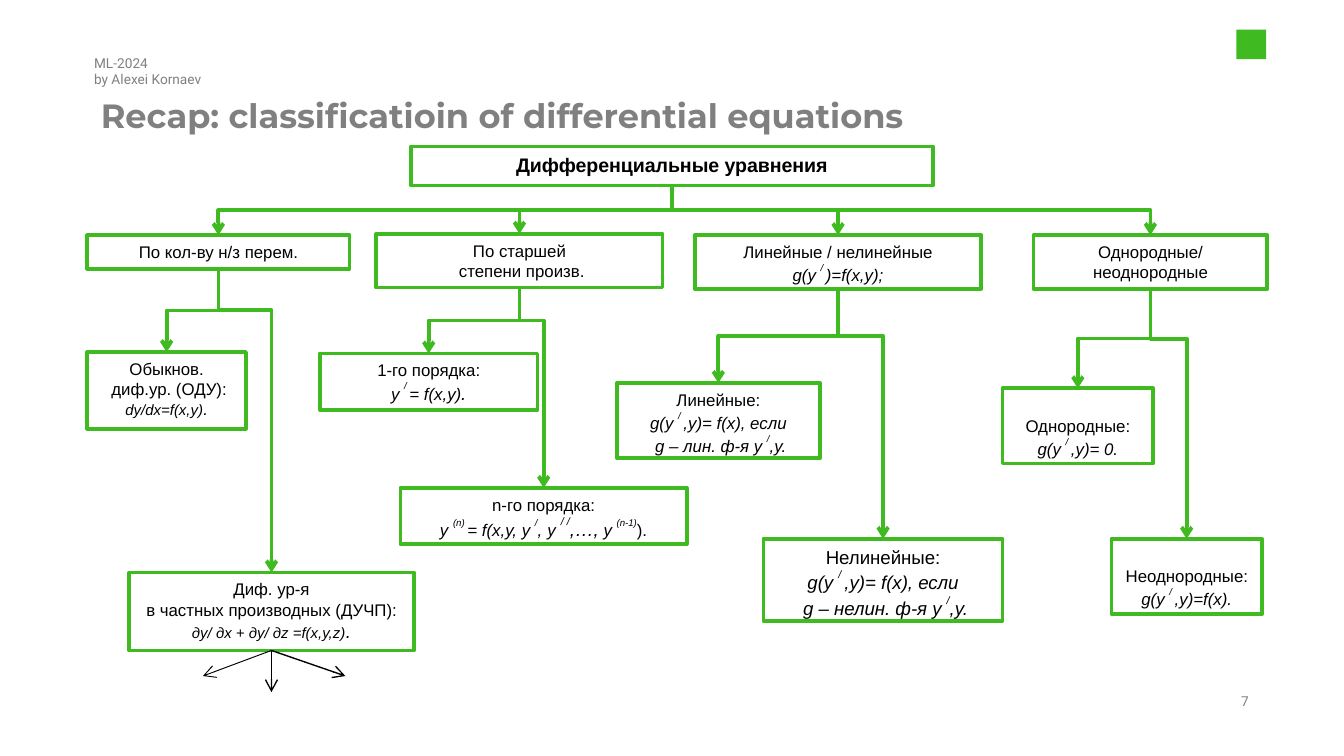
from dataclasses import dataclass
from typing import NamedTuple, Optional

from lxml.etree import SubElement
from pptx import Presentation
from pptx.dml.color import RGBColor
from pptx.enum.shapes import MSO_CONNECTOR, MSO_SHAPE
from pptx.enum.text import MSO_ANCHOR, PP_ALIGN
from pptx.oxml.ns import qn
from pptx.util import Inches, Pt

GREEN, GRAY, BLACK = "40BA21", "808080", "000000"
COLS, ROWS = 100, 56.25

prs = Presentation()
prs.slide_width, prs.slide_height = Inches(10), Inches(5.625)
COL, ROW = prs.slide_width / COLS, prs.slide_height / ROWS


class Run(NamedTuple):
    text: str
    size: Optional[float] = None
    raised: bool = False
    italic: Optional[bool] = None


class Line(NamedTuple):
    runs: tuple
    size: float = 9
    italic: bool = False
    bold: bool = False


@dataclass
class Node:
    x: float
    y: float
    w: float
    h: float
    lines: list
    top: float = 0.5

    @property
    def centre(self) -> float:
        return self.x + self.w / 2

    @property
    def bottom(self) -> float:
        return self.y + self.h


class Branch(NamedTuple):
    parent: str
    children: tuple


def rgb(color: str) -> RGBColor:
    return RGBColor.from_string(color)


def plain(text: str, size: float = 9, bold: bool = False) -> Line:
    return Line((Run(text),), size, bold=bold)


def prime(before: str, after: str, size: float = 9, mark: str = "/ ", *rest: Run) -> Line:
    return Line((Run(before), Run(mark, raised=True), Run(after), *rest), size, True)


def write(p, line: Line, font: str, color: str, align: PP_ALIGN) -> None:
    p.alignment = align
    f = p.font
    f.name, f.size, f.bold, f.italic = font, Pt(line.size), line.bold, line.italic
    f.color.rgb = rgb(color)
    for run in line.runs:
        for i, part in enumerate(run.text.split("\n")):
            if i:
                p.add_line_break()
            r = p.add_run()
            r.text = part
            if run.size:
                r.font.size = Pt(run.size)
            if run.italic is not None:
                r.font.italic = run.italic
            if run.raised:
                r.font._element.set("baseline", "60000")


def box(x: float, y: float, w: float, h: float) -> tuple:
    return tuple(round(v) for v in (x * COL, y * ROW, w * COL, h * ROW))


def draw_node(s, node: Node) -> None:
    sp = s.shapes.add_shape(MSO_SHAPE.RECTANGLE, *box(node.x, node.y, node.w, node.h))
    sp.shadow.inherit = False
    sp.fill.background()
    sp.line.color.rgb = rgb(GREEN)
    sp.line.width = Pt(2)
    tf = sp.text_frame
    tf.word_wrap = True
    tf.vertical_anchor = MSO_ANCHOR.TOP
    tf.margin_top = round(node.top * ROW)
    for i, line in enumerate(node.lines):
        p = tf.add_paragraph() if i else tf.paragraphs[0]
        write(p, line, "Arial", BLACK, PP_ALIGN.CENTER)


def draw_arrow(s, kind, x1: float, y1: float, x2: float, y2: float, color: str, width: float):
    ends = (round(v) for v in (x1 * COL, y1 * ROW, x2 * COL, y2 * ROW))
    cn = s.shapes.add_connector(kind, *ends)
    cn.line.color.rgb = rgb(color)
    cn.line.width = Pt(width)
    SubElement(cn.line._get_or_add_ln(), qn("a:tailEnd"), type="arrow")
    SubElement(cn._element.spPr, qn("a:effectLst"))
    return cn


def draw_elbow(s, parent: Node, child: Node, rail: float) -> None:
    dx, dy = child.centre - parent.centre, child.y - parent.bottom
    mx, my = parent.centre + dx / 2, parent.bottom + dy / 2
    half_w, half_h = dy / 2, abs(dx) / 2
    cn = draw_arrow(s, MSO_CONNECTOR.ELBOW, mx - half_w, my - half_h,
                    mx + half_w, my + half_h, GREEN, 2)
    xfrm = cn._element.spPr.find(qn("a:xfrm"))
    xfrm.set("rot", str((90 if dx < 0 else 270) * 60000))
    if dx > 0:
        xfrm.set("flipH", "1")
    guides = cn._element.spPr.find(qn("a:prstGeom")).find(qn("a:avLst"))
    share = round((rail - parent.bottom) / dy * 100000)
    SubElement(guides, qn("a:gd"), name="adj1", fmla=f"val {share}")


def draw_label(s, area: tuple, line: Line, align: PP_ALIGN, inset: float) -> None:
    tf = s.shapes.add_textbox(*box(*area)).text_frame
    tf.word_wrap = True
    tf.vertical_anchor = MSO_ANCHOR.MIDDLE
    tf.margin_left = tf.margin_right = round(inset * COL)
    tf.margin_top = tf.margin_bottom = round(inset * ROW / 2)
    write(tf.paragraphs[0], line, "Roboto", GRAY, align)


NODES = {
    "root": Node(30.6, 10.9, 38.8, 2.9, [plain("Дифференциальные уравнения", 10.5, True)]),
    "variables": Node(6.5, 17.5, 19.5, 2.5, [plain("По кол-ву н/з перем.")]),
    "order": Node(28, 17.4, 21.3, 4, [plain("По старшей\n степени произв.")]),
    "linearity": Node(51.7, 17.5, 21.3, 4, [
        plain("Линейные / нелинейные"), prime("g(y ", ")=f(x,y);")]),
    "homogeneity": Node(76.9, 17.5, 17.4, 4, [plain("Однородные/ неоднородные")]),
    "ordinary": Node(6.5, 26.2, 11.8, 5.7, [
        plain("Обыкнов."), plain(" диф.ур. (ОДУ):"),
        Line((Run("dy/dx=f(x,y)"), Run(".", 9)), 8, True)]),
    "partial": Node(9.6, 42.6, 21.2, 5.8, [
        plain("Диф. ур-я\nв частных производных (ДУЧП):"),
        Line((Run("дy/ дx + дy/ дz =f(x,y,z)"), Run(".", 10)), 8, True)]),
    "first order": Node(23.8, 26.3, 16.2, 4.2, [
        plain("1-го порядка:"), prime("y ", "= f(x,y)", 9, "/ ", Run(".", 10))]),
    "nth order": Node(29.8, 36.3, 21.3, 4.2, [
        plain("n-го порядка:"),
        prime("y ", "= f(x,y, y ", 9, "(n) ", Run("/", raised=True), Run(","), Run(" ", 10),
              Run("y"), Run(" ", 10), Run("/ /", 10, True), Run(",…,", 10), Run(" y "),
              Run("(n-1)", raised=True), Run(").", italic=False))]),
    "linear": Node(45.9, 28.5, 15.1, 5.6, [
        plain("Линейные:"), prime("g(y ", ",y)= f(x), если"),
        prime(" g – лин. ф-я y ", ",у.", 9, "/")]),
    "nonlinear": Node(56.8, 40.1, 17.8, 6.1, [
        plain("Нелинейные:", 10), prime("g(y ", ",y)= f(x), если", 10),
        prime(" g – нелин. ф-я y ", ",у.", 10, "/")]),
    "homogeneous": Node(74.6, 28.9, 11.2, 5.6, [
        plain("Однородные:"), prime("g(y ", ",y)= 0.")], 2),
    "inhomogeneous": Node(82.7, 40.1, 11.2, 5.6, [
        plain("Неоднородные:"), prime("g(y ", ",y)=f(x).")], 2),
}
BRANCHES = [
    Branch("root", ("variables", "order", "linearity", "homogeneity")),
    Branch("variables", ("ordinary", "partial")),
    Branch("order", ("first order", "nth order")),
    Branch("linearity", ("linear", "nonlinear")),
    Branch("homogeneity", ("homogeneous", "inhomogeneous")),
]
FAN = [(15.1, 50.3, 0.5), (20.2, 51.5, 0.75), (25.7, 50.3, 0.75)]


def main() -> None:
    s = prs.slides.add_slide(prs.slide_layouts[5])
    title = s.shapes.title
    title.left, title.top, title.width, title.height = box(6.5, 6.9, 87.4, 3.9)
    tf = title.text_frame
    tf.vertical_anchor = MSO_ANCHOR.TOP
    p = tf.paragraphs[0]
    p.line_spacing = 0.9
    write(p, plain("Recap: classificatioin of differential equations", 18, True),
          "Montserrat", GRAY, PP_ALIGN.JUSTIFY)

    badge = s.shapes.add_shape(MSO_SHAPE.RECTANGLE, *box(92, 2.2, 2.2, 2.2))
    badge.shadow.inherit = False
    badge.fill.solid()
    badge.fill.fore_color.rgb = rgb(GREEN)
    badge.line.fill.background()

    draw_label(s, (6.5, 3.8, 33.8, 3), plain("ML-2024\nby Alexei Kornaev", 7.3),
               PP_ALIGN.LEFT, 0.5)
    draw_label(s, (71.4, 50.7, 22.5, 3), plain("7", 7.3), PP_ALIGN.RIGHT, 1)

    for node in NODES.values():
        draw_node(s, node)
    for branch in BRANCHES:
        parent = NODES[branch.parent]
        rail = (parent.bottom + NODES[branch.children[0]].y) / 2
        for name in branch.children:
            draw_elbow(s, parent, NODES[name], rail)
    partial = NODES["partial"]
    for x, y, width in FAN:
        draw_arrow(s, MSO_CONNECTOR.STRAIGHT, partial.centre, partial.bottom, x, y, BLACK, width)

    prs.save("out.pptx")


if __name__ == "__main__":
    main()
